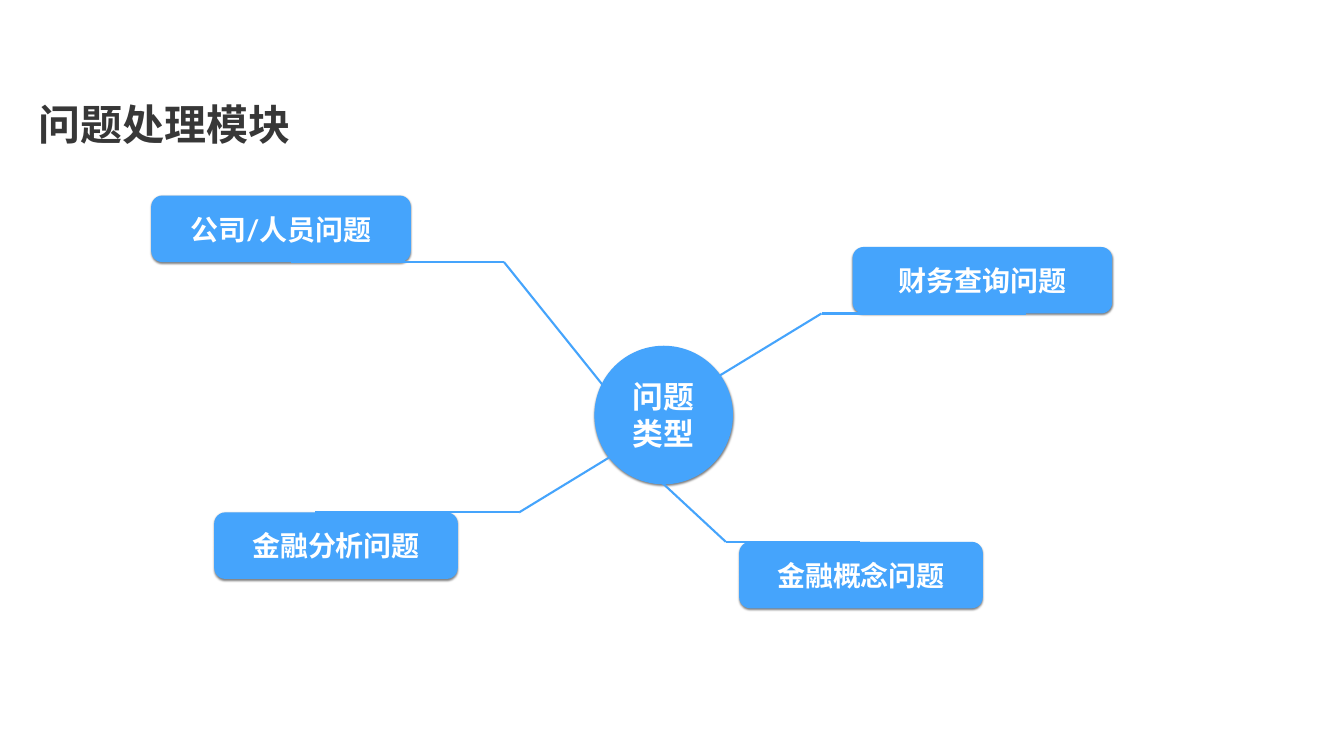
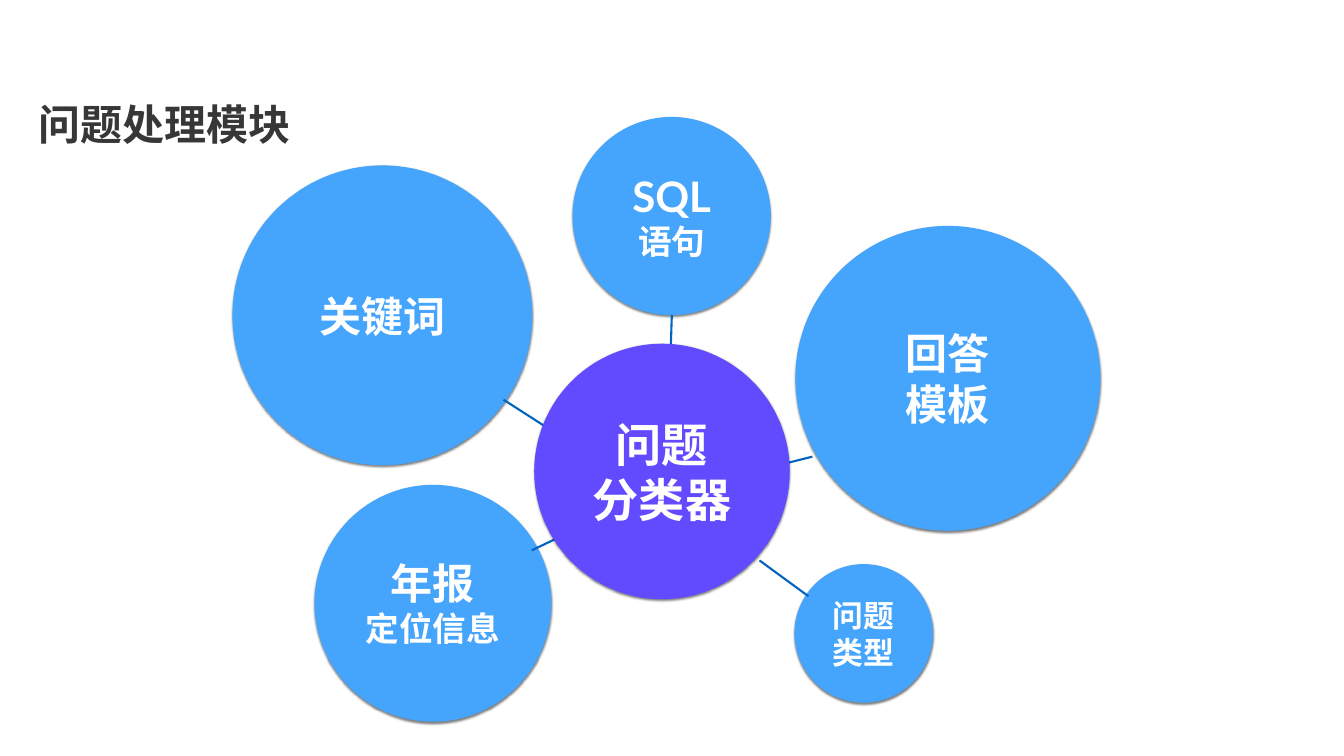
import lxml.etree
import pptx
import pptx.dml.color
import pptx.enum.shapes
import pptx.enum.text
import pptx.oxml.ns
import pptx.util

# The slide is a grid of 80 columns by 45 rows of square cells.
COLUMNS, ROWS = 80, 45
CELL = pptx.util.Inches(1 / 3)
FONT = "Lato"
BLUE, VIOLET, NAVY = "45A4FC", "624AFF", "0063BF"
WHITE, INK = "FFFFFF", "373737"
TITLE = "问题处理模块"
BOX_HEIGHT = 3.96
SHAPES = pptx.enum.shapes.MSO_SHAPE
MIDDLE = pptx.enum.text.MSO_ANCHOR.MIDDLE
ALIGN = pptx.enum.text.PP_ALIGN
qn = pptx.oxml.ns.qn


def add_node(page, kind, area, color, lines):
    """Add a shadowed shape; area is in cells, lines are (text, size) pairs."""
    node = page.shapes.add_shape(kind, *[round(cells * CELL) for cells in area])
    node.fill.solid()
    node.fill.fore_color.rgb = pptx.dml.color.RGBColor.from_string(color)
    node.line.fill.background()
    node.shadow.inherit = False
    effects = node._element.spPr.find(qn("a:effectLst"))
    shadow = lxml.etree.SubElement(
        effects, qn("a:outerShdw"), blurRad="38100", dist="25400",
        dir="5400000", rotWithShape="0")
    black = lxml.etree.SubElement(shadow, qn("a:srgbClr"), val="000000")
    lxml.etree.SubElement(black, qn("a:alpha"), val="50000")

    frame = node.text_frame
    frame.word_wrap = True
    frame.vertical_anchor = MIDDLE
    for index, (text, size) in enumerate(lines):
        para = frame.add_paragraph() if index else frame.paragraphs[0]
        para.text = text
        para.alignment = ALIGN.CENTER
        para.font.name = FONT
        para.font.size = pptx.util.Pt(size)
        para.font.bold = True
        para.font.color.rgb = pptx.dml.color.RGBColor.from_string(WHITE)


def add_line(page, start, end, color):
    line = page.shapes.add_connector(
        pptx.enum.shapes.MSO_CONNECTOR.STRAIGHT,
        *[round(cells * CELL) for cells in (*start, *end)])
    line.line.color.rgb = pptx.dml.color.RGBColor.from_string(color)
    line.line.width = pptx.util.Pt(3)
    lxml.etree.SubElement(line._element.spPr, qn("a:effectLst"))


deck = pptx.Presentation()
deck.slide_width, deck.slide_height = COLUMNS * CELL, ROWS * CELL
pages = [deck.slides.add_slide(deck.slide_layouts[5]) for _ in range(2)]

for page in pages:
    title = page.shapes.title
    title.left, title.top, title.width, title.height = [
        round(cells * CELL) for cells in (2.13, 5.7, 22.35, 3.36)]
    frame = title.text_frame
    frame.margin_left = frame.margin_right = pptx.util.Inches(0.06)
    frame.margin_top = frame.margin_bottom = pptx.util.Inches(0.06)
    frame.vertical_anchor = MIDDLE
    frame.word_wrap = True
    frame.auto_size = pptx.enum.text.MSO_AUTO_SIZE.NONE
    para = frame.paragraphs[0]
    para.text = TITLE
    para.alignment = ALIGN.LEFT
    para.font.name = FONT
    para.font.size = pptx.util.Pt(60)
    para.font.bold = True
    para.font.color.rgb = pptx.dml.color.RGBColor.from_string(INK)

types_page, classifier_page = pages

# Question types: a hub with four bent branches
add_node(types_page, SHAPES.OVAL, (35.38, 20.58, 8.25, 8.25), BLUE,
         [("问题", 44), ("类型", 44)])

# text, box left, top, width, hub end of the branch, bend column, far column
branches = [
    ("金融概念问题", 44, 32.25, 14.5, (39.06, 28.41), 43.2, 51.18),
    ("金融分析问题", 12.75, 30.5, 14.5, (37.23, 26.64), 30.9, 18.78),
    ("公司/人员问题", 9, 11.64, 15.45, (36.6, 23.82), 30, 17.31),
    ("财务查询问题", 50.75, 14.7, 15.45, (42.6, 22.5), 48.9, 61.05),
]
for text, left, top, width, *_ in branches:
    add_node(types_page, SHAPES.ROUNDED_RECTANGLE,
             (left, top, width, BOX_HEIGHT), BLUE, [(text, 40)])
for _, _, top, _, start, bend, far in branches:
    # The branch runs along the box edge that faces the hub.
    edge = top if top > start[1] else top + BOX_HEIGHT
    add_line(types_page, start, (bend, edge), BLUE)
    add_line(types_page, (bend, edge), (far, edge), BLUE)

# Classifier: five circles around a hub
# centre column, centre row, diameter, lines, outer and inner end of the link
circles = [
    (39.98, 12.86, 11.8, [("SQL", 60), ("语句", 48)],
     (39.99, 18.75), (39.87, 22.5)),
    (56.42, 22.52, 18.15, [("回答", 60), ("模板", 60)],
     (48.36, 27.18), (45.87, 27.81)),
    (51.41, 37.7, 8.25, [("问题", 44), ("类型", 44)],
     (48.12, 35.49), (45.21, 33.36)),
    (25.77, 35.91, 14.1, [("年报", 60), ("定位信息", 48)],
     (31.65, 32.76), (33.72, 31.77)),
    (22.76, 18.77, 17.85, [("关键词", 60)],
     (29.97, 23.79), (34.08, 26.43)),
]
for column, row, size, lines, *_ in circles:
    add_node(classifier_page, SHAPES.OVAL,
             (column - size / 2, row - size / 2, size, size), BLUE, lines)
for *_, outer, inner in circles:
    add_line(classifier_page, outer, inner, NAVY)
add_node(classifier_page, SHAPES.OVAL, (31.8, 20.46, 15.21, 15.21), VIOLET,
         [("问题", 66), ("分类器", 66)])

deck.save("out.pptx")
